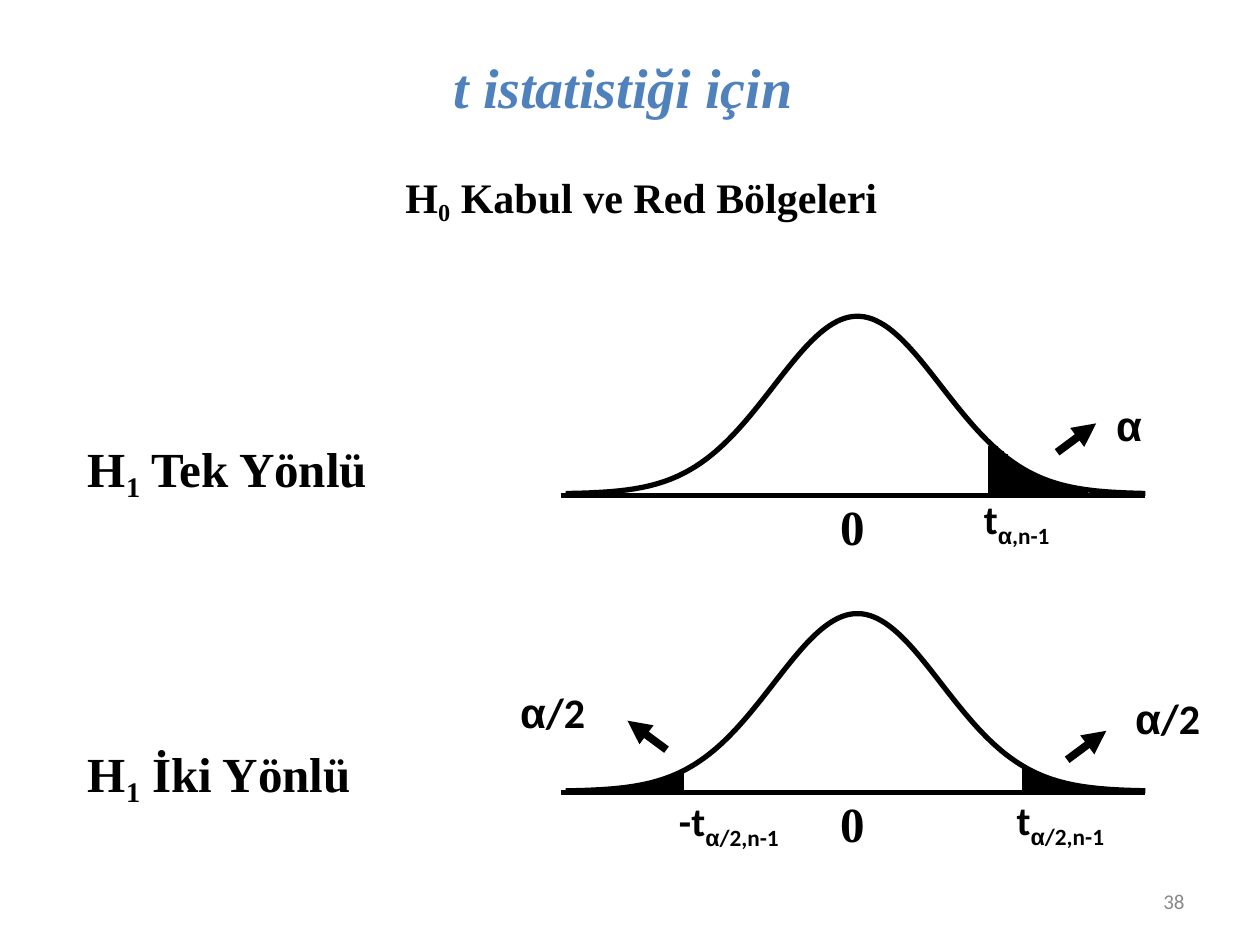
import math

import pptx
import pptx.dml.color
import pptx.enum.shapes
import pptx.enum.text
import pptx.oxml.ns
import pptx.util
from lxml import etree

COLORS = {"ink": "000000", "title": "4F81BD", "number": "898989"}
SERIF, SANS, GREEK = "Times New Roman", "Calibri", "Arial"
COLS, ROWS = 100, 75
UNIT = pptx.util.Inches(10) // COLS
PEAK, CENTER, SIGMA = 14.1, 23.55, 6.65
ALIGN = pptx.enum.text.PP_ALIGN
ANCHOR = pptx.enum.text.MSO_ANCHOR


def grid(*cells):
    """Turn grid cells into lengths."""
    return [pptx.util.Emu(round(c * UNIT)) for c in cells]


def rgb(name):
    """Look up a colour by name."""
    return pptx.dml.color.RGBColor.from_string(COLORS[name])


def write(sp, runs, size, color="ink", align=ALIGN.LEFT, anchor=ANCHOR.TOP, wrap=False, **style):
    """Fill a text shape with runs of (text, font, baseline percent)."""
    tf = sp.text_frame
    frame = {"word_wrap": wrap, "vertical_anchor": anchor,
             "auto_size": pptx.enum.text.MSO_AUTO_SIZE.NONE}
    for key, value in frame.items():
        setattr(tf, key, value)
    p = tf.paragraphs[0]
    p.alignment = align
    for text, font, baseline in runs:
        r = p.add_run()
        r.text = text
        form = {"name": font, "size": pptx.util.Pt(size), "bold": True, **style}
        for key, value in form.items():
            setattr(r.font, key, value)
        r.font.color.rgb = rgb(color)
        if baseline:
            r._r.get_or_add_rPr().set("baseline", str(baseline * 1000))


def add_text(s, box, runs, size, **style):
    """Add a text box on the grid."""
    write(s.shapes.add_textbox(*grid(*box)), runs, size, **style)


def add_line(s, x1, y1, x2, y2, width, arrow=False):
    """Add a straight line, with an arrowhead at its end if asked."""
    sp = s.shapes.add_connector(pptx.enum.shapes.MSO_CONNECTOR.STRAIGHT, *grid(x1, y1, x2, y2))
    sp.line.color.rgb = rgb("ink")
    sp.line.width = pptx.util.Pt(width)
    if arrow:
        etree.SubElement(sp.line._get_or_add_ln(), pptx.oxml.ns.qn("a:tailEnd"), type="triangle")
    etree.SubElement(sp._element.spPr, pptx.oxml.ns.qn("a:effectLst"))


def depth(x):
    """Give the distance of the bell curve below its peak."""
    return PEAK * (1 - math.exp(-((x - CENTER) / SIGMA) ** 2 / 2))


def bell(s, x, y, w, h):
    """Draw the bell curve, its axis and its zero mark."""
    xs = [0.4 + (w - 0.4) * i / 198 for i in range(199)]
    points = [grid(x + c, y + depth(c)) for c in xs]
    fb = s.shapes.build_freeform(*points[0])
    fb.add_line_segments(points[1:], close=False)
    sp = fb.convert_to_shape()
    sp.shadow.inherit = False
    sp.fill.background()
    sp.line.color.rgb = rgb("ink")
    sp.line.width = pptx.util.Pt(3)
    add_line(s, x, y + h, x + w, y + h, 3)
    add_text(s, (x + 21.2, y + 13.8, 3.9, 5.7), [("0", SERIF, 0)], 28, wrap=True)


def tail(s, x, y, start, step, share, arrow, area, critical):
    """Shade one rejection tail and label its area and critical value."""
    for k in (0, 0.6, *range(1, 10)):
        c = start + k * step
        add_line(s, x + c, y + depth(c), x + c, y + 14.05, 6)
    ax, ay, dx = arrow
    add_line(s, x + ax, y + ay, x + ax + dx, y + ay - 2.3, 4.5, arrow=True)
    runs = [("α", GREEK, 0)] + ([(share, SANS, 0)] if share else [])
    add_text(s, (x + area[0], y + area[1], 7.2 if share else 4.1, 5), runs, 24)
    cx, cy, cw, sign = critical
    add_text(s, (x + cx, y + cy, cw, 5.4),
             [(sign + "t", SANS, 0), ("α", GREEK, -25), (share + ",n-1", SANS, -25)], 23)


def panel(s, box, label, label_box, tails):
    """Draw one hypothesis with its curve and rejection tails."""
    x, y, w, h = box
    lx, ly, lw, lh = label_box
    add_text(s, (x + lx, y + ly, lw, lh),
             [("H", SERIF, 0), ("1", SERIF, -20), (label, SERIF, 0)], 28)
    bell(s, x, y, w, h)
    for form in tails:
        tail(s, x, y, **form)


def heading(s):
    """Place the title, the subtitle and the slide number."""
    sp = s.shapes.title
    sp.left, sp.top, sp.width, sp.height = grid(35, 3.7, 31, 6.4)
    write(sp, [("t istatistiği için", SERIF, 0)], 32, color="title", wrap=True, italic=True)
    add_text(s, (31.2, 13.1, 39.4, 5.4),
             [("H", SERIF, 0), ("0", SERIF, -20), (" Kabul ve Red Bölgeleri", SERIF, 0)], 24)
    add_text(s, (71.7, 69.5, 23.3, 4), [("38", SANS, 0)], 12, color="number",
             align=ALIGN.RIGHT, anchor=ANCHOR.MIDDLE, wrap=True, bold=False)


def main():
    """Build the slide."""
    prs = pptx.Presentation()
    prs.slide_width, prs.slide_height = grid(COLS, ROWS)
    s = prs.slides.add_slide(prs.slide_layouts[5])
    heading(s)
    one_sided = [
        {"start": 34.3, "step": 0.79, "share": "", "arrow": (39.4, 10.8, 3.1),
         "area": (43.1, 6.1), "critical": (32.6, 13.6, 7.2, "")},
    ]
    two_sided = [
        {"start": 37, "step": 0.79, "share": "/2", "arrow": (40.2, 11.6, 3.1),
         "area": (44.6, 5.8), "critical": (35.2, 13.9, 9, "")},
        {"start": 9.4, "step": -0.5, "share": "/2", "arrow": (8.4, 10.8, -3.1),
         "area": (-4.2, 5.3), "critical": (8.4, 14, 9.9, "-")},
    ]
    panel(s, (44.5, 25.1, 46.4, 14.2), " Tek Yönlü", (-38.5, 9.2, 24.7, 6.1), one_sided)
    panel(s, (44.5, 48.7, 46.4, 14.2), " İki Yönlü", (-38.5, 9.8, 23, 6.1), two_sided)
    prs.save("out.pptx")


if __name__ == "__main__":
    main()
